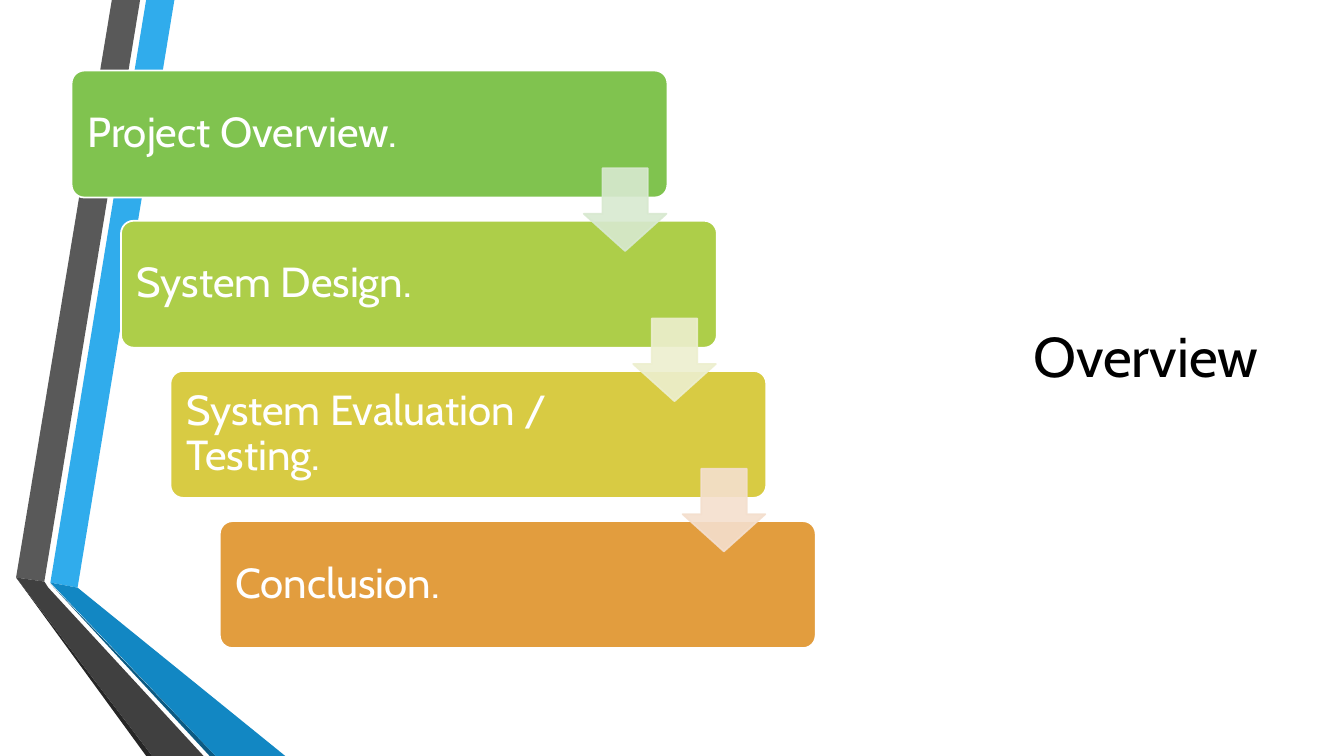
from dataclasses import dataclass

from lxml.etree import SubElement
from pptx import Presentation
from pptx.dml.color import RGBColor
from pptx.enum.shapes import MSO_SHAPE
from pptx.enum.text import MSO_ANCHOR, PP_ALIGN
from pptx.oxml.ns import qn
from pptx.util import Inches, Pt


@dataclass(frozen=True)
class Theme:
    font: str = "Cabin"
    title_size: int = 40
    step_size: int = 30
    outline: float = 1.25
    black: str = "000000"
    white: str = "FFFFFF"
    blue: str = "30ACEC"
    blue_fold: str = "1287C3"
    blue_edge: str = "0C5A82"
    grey: str = "595959"
    grey_fold: str = "404040"
    grey_edge: str = "262626"
    step_fills: tuple = ("80C34F", "ADCE49", "D8CB43", "E29D3E")
    arrow_fills: tuple = ("D8E9D0", "EDEFCF", "F4DFCE")
    arrow_opacity: int = 90


THEME = Theme()

RIBBONS = (
    (THEME.blue, [(0.5, 5.78), (0.77, 5.83), (1.73, 0), (1.45, 0)]),
    (THEME.grey, [(1.39, 0), (1.11, 0), (0.16, 5.73), (0.44, 5.77)]),
    (THEME.grey_edge, [(0.16, 5.73), (1.45, 7.5), (1.51, 7.5)]),
    (THEME.blue_edge, [(0.5, 5.79), (2.08, 7.5), (2.14, 7.5)]),
    (THEME.blue_fold, [(0.5, 5.78), (2.14, 7.5), (2.83, 7.5), (0.77, 5.83)]),
    (THEME.grey_fold, [(2.02, 7.5), (0.48, 5.83), (0.44, 5.77),
                       (0.16, 5.73), (1.51, 7.5)]),
)

STEPS = ("Project Overview.", "System Design.",
         "System Evaluation / Testing.", "Conclusion.")
FIRST_LEFT, FIRST_TOP = 0.71, 0.7
SHIFT_X, SHIFT_Y = 0.49, 1.49
STEP_WIDTH, STEP_HEIGHT = 5.91, 1.26
ARROW_DX, ARROW_DY, ARROW_SIDE = 5.08, 0.97, 0.82


def paint(shape, fill, line=None):
    shape.shadow.inherit = False
    shape.fill.solid()
    shape.fill.fore_color.rgb = RGBColor.from_string(fill)
    if line is None:
        shape.line.fill.background()
    else:
        shape.line.color.rgb = RGBColor.from_string(line)
        shape.line.width = Pt(THEME.outline)


def set_opacity(shape, percent):
    """Apply one opacity to the fill and outline of a painted shape."""
    for color in shape.element.spPr.iter(qn("a:srgbClr")):
        SubElement(color, qn("a:alpha")).set("val", str(percent * 1000))


def write(shape, text, size, color, align):
    frame = shape.text_frame
    frame.text = text
    frame.word_wrap = True
    frame.vertical_anchor = MSO_ANCHOR.MIDDLE
    paragraph = frame.paragraphs[0]
    paragraph.alignment = align
    paragraph.line_spacing = 0.9
    font = paragraph.runs[0].font
    font.name = THEME.font
    font.size = Pt(size)
    font.color.rgb = RGBColor.from_string(color)


def add_ribbon(slide, color, points):
    corners = [(Inches(x), Inches(y)) for x, y in points]
    builder = slide.shapes.build_freeform(*corners[0])
    builder.add_line_segments(corners[1:], close=True)
    paint(builder.convert_to_shape(), color)


def step_corner(index):
    return FIRST_LEFT + index * SHIFT_X, FIRST_TOP + index * SHIFT_Y


def add_step(slide, index, text):
    left, top = step_corner(index)
    step = slide.shapes.add_shape(
        MSO_SHAPE.ROUNDED_RECTANGLE, Inches(left), Inches(top),
        Inches(STEP_WIDTH), Inches(STEP_HEIGHT))
    step.adjustments[0] = 0.1
    paint(step, THEME.step_fills[index], THEME.white)
    write(step, text, THEME.step_size, THEME.white, PP_ALIGN.LEFT)
    frame = step.text_frame
    frame.margin_left = Inches(0.12)
    frame.margin_right = Inches(1.43)
    frame.margin_top = frame.margin_bottom = Inches(0.12)


def add_step_arrow(slide, index, color):
    left, top = step_corner(index)
    arrow = slide.shapes.add_shape(
        MSO_SHAPE.DOWN_ARROW, Inches(left + ARROW_DX), Inches(top + ARROW_DY),
        Inches(ARROW_SIDE), Inches(ARROW_SIDE))
    arrow.adjustments[0] = 0.55
    arrow.adjustments[1] = 0.45
    paint(arrow, color, color)
    set_opacity(arrow, THEME.arrow_opacity)


def add_title(slide, text):
    title = slide.shapes.add_textbox(
        Inches(10.03), Inches(1.17), Inches(2.67), Inches(4.79))
    write(title, text, THEME.title_size, THEME.black, PP_ALIGN.CENTER)


def main():
    deck = Presentation()
    deck.slide_width, deck.slide_height = Inches(13.33), Inches(7.5)
    slide = deck.slides.add_slide(deck.slide_layouts[6])
    for color, points in RIBBONS:
        add_ribbon(slide, color, points)
    add_title(slide, "Overview")
    for index, text in enumerate(STEPS):
        add_step(slide, index, text)
    for index, color in enumerate(THEME.arrow_fills):
        add_step_arrow(slide, index, color)
    deck.save("out.pptx")


if __name__ == "__main__":
    main()
